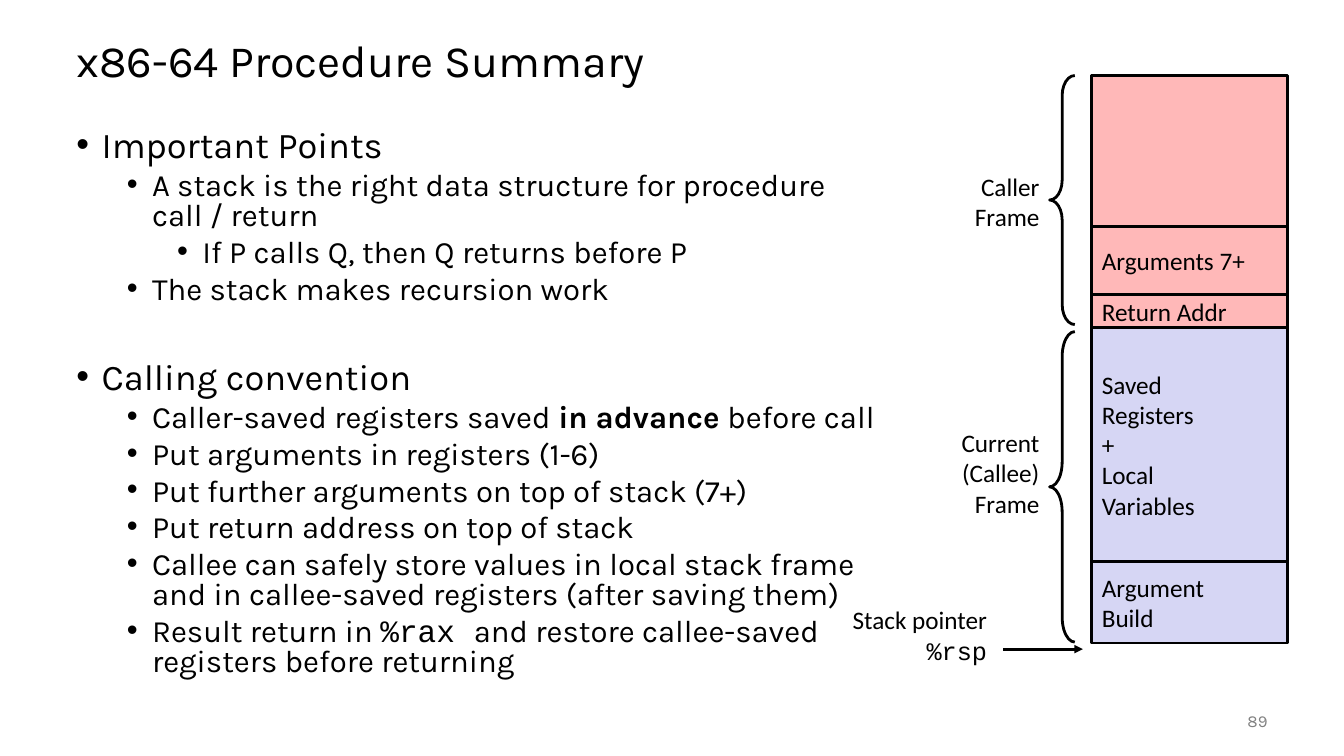
from dataclasses import dataclass

from lxml.etree import SubElement
from pptx import Presentation
from pptx.dml.color import RGBColor
from pptx.enum.shapes import MSO_CONNECTOR, MSO_SHAPE
from pptx.enum.text import MSO_ANCHOR, PP_ALIGN
from pptx.oxml.ns import qn
from pptx.util import Inches, Pt

BLACK, GRAY, PINK, LAVENDER = "000000", "808080", "FFB8B8", "D6D6F4"
BODY_FONT, LABEL_FONT, CODE_FONT = "Karla", "Calibri", "Courier New"
STACK_LEFT, STACK_TOP, STACK_WIDTH = 10.83, 0.75, 1.94
BRACE_LEFT, BRACE_WIDTH = 10.41, 0.25


@dataclass(frozen=True)
class Span:
    text: str
    font: str = BODY_FONT
    bold: bool = False


@dataclass(frozen=True)
class Bullet:
    level: int
    spans: tuple[Span, ...]
    space_before: float = 5


@dataclass(frozen=True)
class StackPart:
    height: float
    fill: str
    lines: tuple[str, ...] = ()


@dataclass(frozen=True)
class Brace:
    top: float
    height: float


@dataclass(frozen=True)
class Label:
    left: float
    top: float
    width: float
    height: float
    spans: tuple[Span, ...]


BULLETS = (
    Bullet(0, (Span("Important Points"),), 0),
    Bullet(1, (Span("A stack is the right data structure for procedure call / return"),)),
    Bullet(2, (Span("If P calls Q, then Q returns before P"),)),
    Bullet(1, (Span("The stack makes recursion work"),)),
    Bullet(0, (Span("Calling convention"),), 40.4),
    Bullet(1, (Span("Caller-saved registers saved "), Span("in advance ", bold=True),
               Span("before call"))),
    Bullet(1, (Span("Put arguments in registers (1-6)"),)),
    Bullet(1, (Span("Put further arguments on top of stack (7+)"),)),
    Bullet(1, (Span("Put return address on top of stack"),)),
    Bullet(1, (Span("Callee can safely store values in local stack frame\n"
                    "and in callee-saved registers (after saving them)"),)),
    Bullet(1, (Span("Result return in "), Span("%rax ", CODE_FONT),
               Span("and restore callee-saved registers before returning"))),
)
STACK = (
    StackPart(1.5, PINK),
    StackPart(0.67, PINK, ("Arguments 7+",)),
    StackPart(0.33, PINK, ("Return Addr",)),
    StackPart(2.32, LAVENDER, ("Saved", "Registers", "+", "Local", "Variables")),
    StackPart(0.81, LAVENDER, ("Argument", "Build")),
)
BRACES = (Brace(0.75, 2.47), Brace(3.29, 3.08))
LABELS = (
    Label(9.21, 1.66, 1.14, 0.69, (Span("Caller", LABEL_FONT), Span("Frame", LABEL_FONT))),
    Label(9.21, 4.2, 1.14, 0.99, (Span("Current", LABEL_FONT), Span("(Callee)", LABEL_FONT),
                                  Span("Frame", LABEL_FONT))),
    Label(8.21, 5.96, 1.62, 0.67, (Span("Stack pointer", LABEL_FONT), Span("%rsp", CODE_FONT))),
)


def color(value: str) -> RGBColor:
    return RGBColor.from_string(value)


def add_span(para, span: Span, size: float, ink: str = BLACK) -> None:
    for number, piece in enumerate(span.text.split("\n")):
        if number:
            para.add_line_break()
        run = para.add_run()
        run.text = piece
        run.font.name = span.font
        run.font.size = Pt(size)
        run.font.bold = span.bold
        run.font.color.rgb = color(ink)


def add_lines(frame, spans: tuple[Span, ...], size: float, align: PP_ALIGN,
              ink: str = BLACK) -> None:
    for number, span in enumerate(spans):
        para = frame.add_paragraph() if number else frame.paragraphs[0]
        para.alignment = align
        add_span(para, span, size, ink)


def set_margins(frame, horizontal: float, vertical: float) -> None:
    frame.margin_left = frame.margin_right = Inches(horizontal)
    frame.margin_top = frame.margin_bottom = Inches(vertical)


def add_text_frame(page, left: float, top: float, width: float, height: float,
                   anchor: MSO_ANCHOR = MSO_ANCHOR.TOP):
    box = page.shapes.add_textbox(Inches(left), Inches(top), Inches(width), Inches(height))
    box.text_frame.word_wrap = True
    box.text_frame.vertical_anchor = anchor
    return box.text_frame


def add_bullets(page) -> None:
    frame = add_text_frame(page, 0.66, 1.25, 8.36, 5.5)
    for number, bullet in enumerate(BULLETS):
        para = frame.add_paragraph() if number else frame.paragraphs[0]
        properties = para._p.get_or_add_pPr()
        properties.set("marL", str(Inches(0.25 + 0.5 * bullet.level)))
        properties.set("indent", str(Inches(-0.25)))
        SubElement(properties, qn("a:buFont")).set("typeface", "Arial")
        SubElement(properties, qn("a:buChar")).set("char", "•")
        para.level = bullet.level
        para.line_spacing = 0.8
        para.space_before = Pt(bullet.space_before)
        for span in bullet.spans:
            add_span(para, span, 22.2 if bullet.level else 25.9)


def add_stack(page) -> None:
    top = STACK_TOP
    for part in STACK:
        box = page.shapes.add_shape(MSO_SHAPE.RECTANGLE, Inches(STACK_LEFT), Inches(top),
                                    Inches(STACK_WIDTH), Inches(part.height))
        box.shadow.inherit = False
        box.fill.solid()
        box.fill.fore_color.rgb = color(part.fill)
        box.line.color.rgb = color(BLACK)
        box.line.width = Pt(2)
        frame = box.text_frame
        frame.word_wrap = True
        frame.vertical_anchor = MSO_ANCHOR.MIDDLE
        set_margins(frame, 0.1, 0)
        spans = tuple(Span(line, LABEL_FONT) for line in part.lines)
        add_lines(frame, spans, 18, PP_ALIGN.LEFT)
        top += part.height


def add_brace(page, brace: Brace) -> None:
    shape = page.shapes.add_shape(MSO_SHAPE.LEFT_BRACE, Inches(BRACE_LEFT), Inches(brace.top),
                                  Inches(BRACE_WIDTH), Inches(brace.height))
    shape.adjustments[0] = 0.08 * brace.height / BRACE_WIDTH
    shape.shadow.inherit = False
    shape.fill.background()
    shape.line.color.rgb = color(BLACK)
    shape.line.width = Pt(2)


def add_label(page, label: Label) -> None:
    frame = add_text_frame(page, label.left, label.top, label.width, label.height)
    set_margins(frame, 0.04, 0.04)
    add_lines(frame, label.spans, 18, PP_ALIGN.RIGHT)


def add_pointer(page) -> None:
    arrow = page.shapes.add_connector(MSO_CONNECTOR.STRAIGHT, Inches(9.95), Inches(6.44),
                                      Inches(10.74), Inches(6.44))
    arrow.line.color.rgb = color(BLACK)
    arrow.line.width = Pt(2)
    SubElement(arrow.line._get_or_add_ln(), qn("a:tailEnd")).set("type", "triangle")
    SubElement(arrow._element.spPr, qn("a:effectLst"))


def main() -> None:
    deck = Presentation()
    deck.slide_width, deck.slide_height = Inches(13.33), Inches(7.5)
    page = deck.slides.add_slide(deck.slide_layouts[6])
    title = add_text_frame(page, 0.66, 0.25, 12, 0.75, MSO_ANCHOR.MIDDLE)
    add_lines(title, (Span("x86-64 Procedure Summary"),), 32, PP_ALIGN.LEFT)
    title.paragraphs[0].line_spacing = 0.9
    add_bullets(page)
    page_number = add_text_frame(page, 11.67, 6.95, 1, 0.4, MSO_ANCHOR.MIDDLE)
    add_lines(page_number, (Span("89"),), 12, PP_ALIGN.RIGHT, GRAY)
    add_stack(page)
    for brace in BRACES:
        add_brace(page, brace)
    for label in LABELS:
        add_label(page, label)
    add_pointer(page)
    deck.save("out.pptx")


if __name__ == "__main__":
    main()
